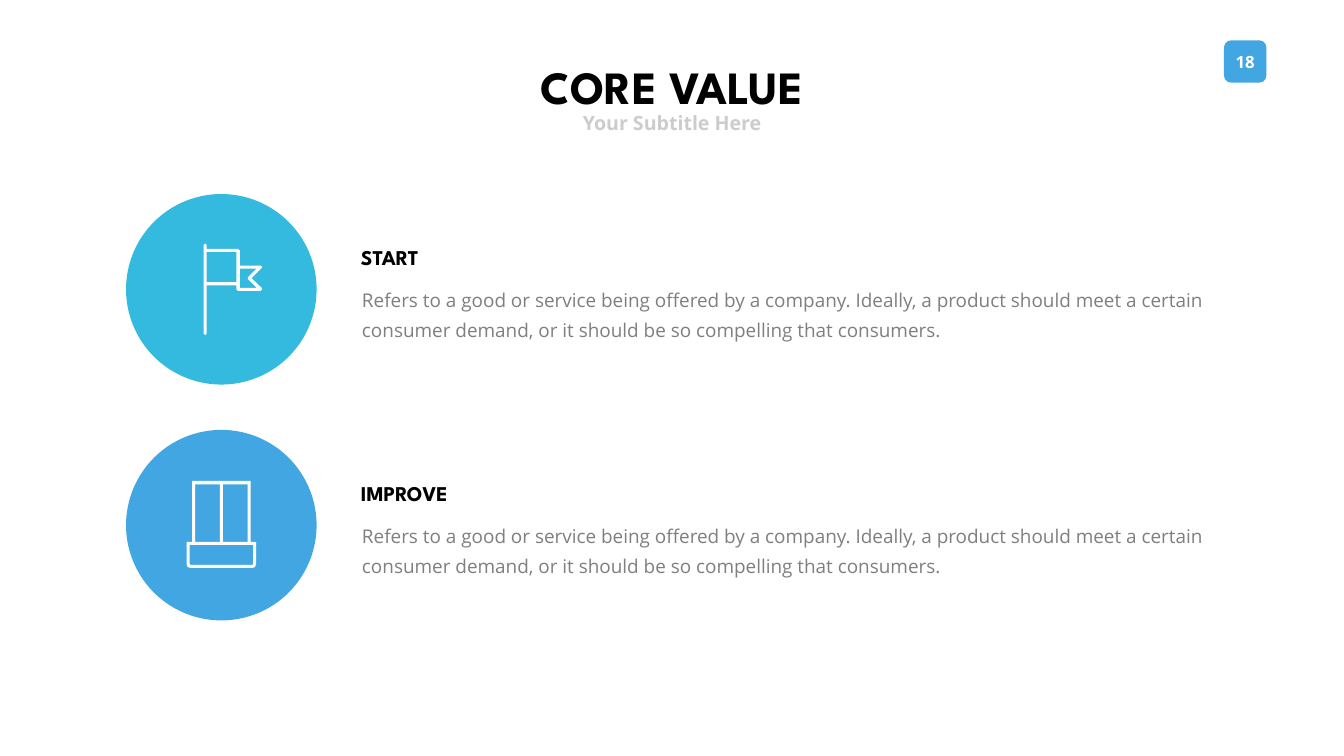
from pptx import Presentation
from pptx.dml.color import RGBColor
from pptx.enum.shapes import MSO_SHAPE
from pptx.enum.text import MSO_ANCHOR, MSO_AUTO_SIZE, PP_ALIGN
from pptx.util import Emu, Pt

PX = 9144  # EMU in one px: 100 px to the inch
SLIDE_WIDTH, SLIDE_HEIGHT = 2666, 1500

WHITE = RGBColor(0xFF, 0xFF, 0xFF)
BLACK = RGBColor(0x00, 0x00, 0x00)
BLUE = RGBColor(0x42, 0xA6, 0xE3)
CYAN = RGBColor(0x34, 0xB9, 0xDF)
GREY = RGBColor(0x7F, 0x7F, 0x7F)
LIGHT_GREY = RGBColor(0xCC, 0xCC, 0xCC)

HEADING_FONT, BODY_FONT = "League Spartan", "Open Sans"
OVAL, ROUNDED = MSO_SHAPE.OVAL, MSO_SHAPE.ROUNDED_RECTANGLE
TOP, MIDDLE = MSO_ANCHOR.TOP, MSO_ANCHOR.MIDDLE
LEFT, CENTER = PP_ALIGN.LEFT, PP_ALIGN.CENTER
NO_AUTOFIT = MSO_AUTO_SIZE.NONE

TITLE_FORMAT = {"name": HEADING_FONT, "size": Pt(66), "bold": True}
SUBTITLE_FORMAT = {"name": BODY_FONT, "size": Pt(28), "bold": True}
NUMBER_FORMAT = {"name": BODY_FONT, "size": Pt(24), "bold": True}
HEADING_FORMAT = {"name": HEADING_FONT, "size": Pt(30), "bold": True}
BODY_FORMAT = {"name": BODY_FONT, "size": Pt(27), "bold": False}

ROW_LEFT, ROW_TOP, ROW_PITCH, CIRCLE_SIZE = 250, 385, 468, 378
DESCRIPTION = (
    "Refers to a good or service being offered by a company. Ideally, a product "
    "should meet a certain consumer demand, or it should be so compelling that consumers."
)


def rectangle(left, top, right, bottom):
    return [(left, top), (right, top), (right, bottom), (left, bottom)]


# Icon contours in px from the icon's top left corner; inner ones are holes.
FLAG = [
    [(115, 88), (95, 69), (115, 49), (116, 46), (113, 44), (72, 44), (72, 14),
     (68, 11), (6, 11), (6, 3), (3, 0), (0, 3), (0, 179), (3, 182), (6, 179),
     (6, 83), (65, 83), (65, 91), (68, 94), (113, 94), (116, 91)],
    [(72, 88), (72, 50), (105, 50), (88, 67), (88, 71), (105, 88)],
    rectangle(6, 17, 65, 77),
]
PODIUM = [
    [(127, 0), (11, 0), (11, 121), (0, 121), (0, 165), (2, 171), (8, 173),
     (130, 173), (136, 171), (138, 165), (138, 121), (127, 121)],
    [(132, 127), (132, 165), (130, 167), (8, 167), (6, 165), (6, 127)],
    rectangle(17, 7, 66, 121),
    rectangle(72, 7, 121, 121),
]

# Heading, circle colour, icon contours, icon offset within the circle
VALUES = [
    ("START", CYAN, FLAG, (154, 98)),
    ("IMPROVE", BLUE, PODIUM, (120, 101)),
]


def to_emu(*lengths):
    return [Emu(length * PX) for length in lengths]


def write_text(shape, text, font_format, color, align=LEFT, anchor=MIDDLE,
               wrap=False, margins=(10, 5), paragraph_format=None):
    frame = shape.text_frame
    side, end = to_emu(*margins)
    frame_format = {
        "word_wrap": wrap, "auto_size": NO_AUTOFIT, "vertical_anchor": anchor,
        "margin_left": side, "margin_right": side,
        "margin_top": end, "margin_bottom": end,
    }
    frame.text = text
    paragraph = frame.paragraphs[0]
    font = paragraph.runs[0].font
    font.color.rgb = color
    for target, values in (
        (frame, frame_format),
        (paragraph, {"alignment": align, **(paragraph_format or {})}),
        (font, font_format),
    ):
        for name, value in values.items():
            setattr(target, name, value)


def paint(shape, color):
    shape.shadow.inherit = False
    shape.fill.solid()
    shape.fill.fore_color.rgb = color
    shape.line.fill.background()


def add_filled_shape(slide, kind, box, color):
    shape = slide.shapes.add_shape(kind, *to_emu(*box))
    paint(shape, color)
    return shape


def add_text(slide, box, *args, **kwargs):
    write_text(slide.shapes.add_textbox(*to_emu(*box)), *args, **kwargs)


def add_icon(slide, left, top, contours):
    outline = contours[0]
    builder = slide.shapes.build_freeform(*outline[0], scale=PX)
    builder.add_line_segments(outline[1:], close=True)
    for hole in contours[1:]:
        builder.move_to(*hole[0])
        builder.add_line_segments(hole[1:], close=True)
    paint(builder.convert_to_shape(*to_emu(left, top)), WHITE)


def add_header(slide, left, top, width):
    title = slide.shapes.title
    title.left, title.top, title.width, title.height = to_emu(left, top, width, 143)
    write_text(title, "CORE VALUE", TITLE_FORMAT, BLACK, CENTER, TOP,
               paragraph_format={"line_spacing": Pt(100)})
    add_text(slide, (left + 129, top + 134, width - 258, 57), "Your Subtitle Here",
             SUBTITLE_FORMAT, LIGHT_GREY, CENTER)


def add_page_number(slide, left, top, size):
    badge = add_filled_shape(slide, ROUNDED, (left, top, size, size), BLUE)
    write_text(badge, "18", NUMBER_FORMAT, WHITE, CENTER)


def add_value_row(slide, left, top, heading, color, contours, icon_offset):
    add_filled_shape(slide, OVAL, (left, top, CIRCLE_SIZE, CIRCLE_SIZE), color)
    add_icon(slide, left + icon_offset[0], top + icon_offset[1], contours)
    add_text(slide, (left + 456, top + 95, 225, 61), heading, HEADING_FORMAT, BLACK)
    add_text(slide, (left + 444, top + 161, 1759, 145), DESCRIPTION, BODY_FORMAT, GREY,
             anchor=TOP, wrap=True, margins=(24, 12),
             paragraph_format={"line_spacing": Pt(43), "space_before": Pt(5.4)})


def main():
    presentation = Presentation()
    presentation.slide_width, presentation.slide_height = to_emu(SLIDE_WIDTH, SLIDE_HEIGHT)
    slide = presentation.slides.add_slide(presentation.slide_layouts.get_by_name("Title Only"))
    add_page_number(slide, 2428, 80, 84)
    add_header(slide, 1015, 81, 636)
    for index, value in enumerate(VALUES):
        add_value_row(slide, ROW_LEFT, ROW_TOP + index * ROW_PITCH, *value)
    presentation.save("out.pptx")


if __name__ == "__main__":
    main()
